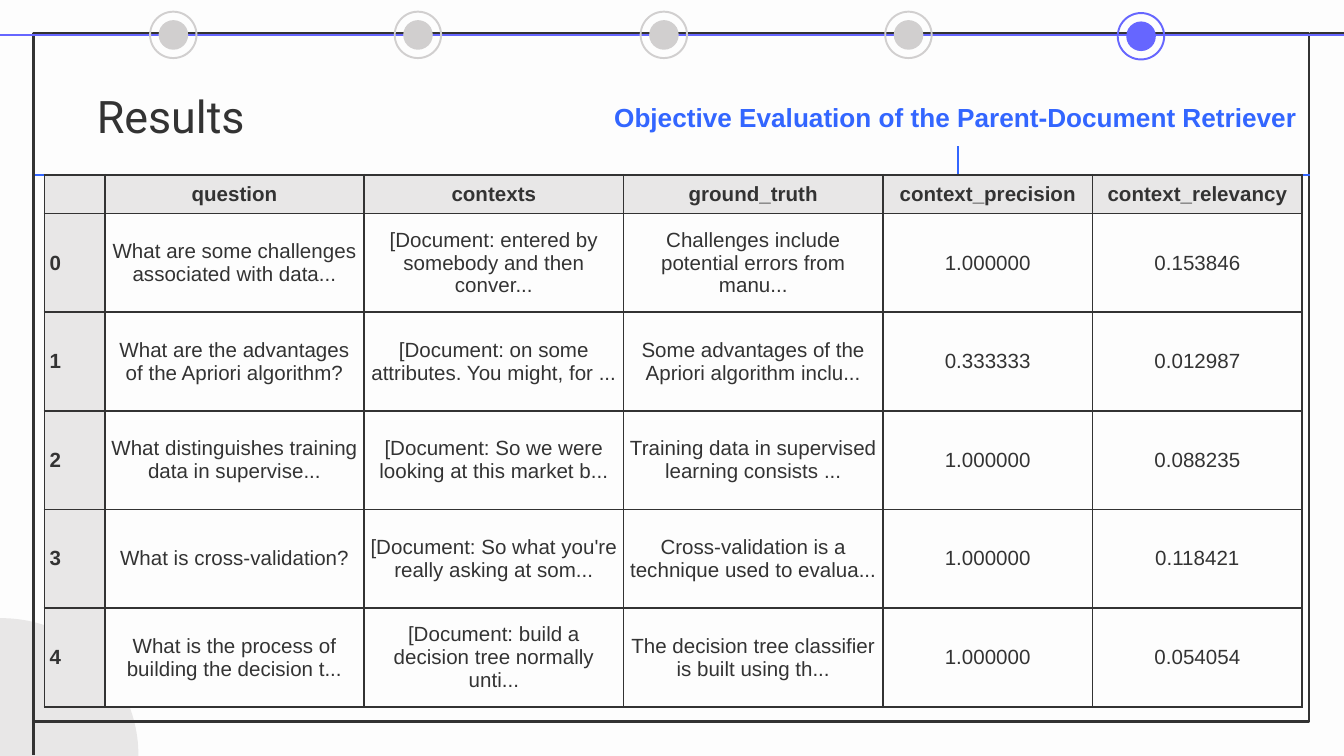
from lxml import etree
from pptx import Presentation
from pptx import util as u
from pptx.dml.color import RGBColor
from pptx.enum import shapes, text
from pptx.oxml import ns

Inches, Pt = u.Inches, u.Pt
COLORS = {k: RGBColor.from_string(v) for k, v in {
    "paper": "FDFDFD", "ink": "333333", "gray": "E8E7E7",
    "dot": "D1CFCF", "violet": "6666FF", "blue": "3366FF"}.items()}

prs = Presentation()
prs.slide_width, prs.slide_height = Inches(10), Inches(10 * 9 / 16)
s = prs.slides.add_slide(prs.slide_layouts[5])
s.background.fill.solid()
s.background.fill.fore_color.rgb = COLORS["paper"]


def add_shape(kind, x, y, w, h, fill=None, line=None):
    sp = s.shapes.add_shape(kind, Inches(x), Inches(y), Inches(w), Inches(h))
    sp.shadow.inherit = False
    if fill:
        sp.fill.solid()
        sp.fill.fore_color.rgb = COLORS[fill]
    else:
        sp.fill.background()
    if line:
        sp.line.color.rgb = COLORS[line]
        sp.line.width = Pt(1.5)
    else:
        sp.line.fill.background()
    return sp


def add_line(x1, y1, x2, y2, color, width):
    c = s.shapes.add_connector(shapes.MSO_CONNECTOR.STRAIGHT,
                               Inches(x1), Inches(y1), Inches(x2), Inches(y2))
    c.line.color.rgb = COLORS[color]
    c.line.width = Pt(width)
    etree.SubElement(c._element.spPr, ns.qn("a:effectLst"))


# Corner disc and page frame
OVAL = shapes.MSO_SHAPE.OVAL
add_shape(OVAL, -1.01, 4.6, 2.04, 2.04, fill="gray")
add_shape(shapes.MSO_SHAPE.RECTANGLE, 0.25, 0.25, 9.49, 5.12, line="ink")
add_line(9.75, 0.25, 10, 0.25, "ink", 1.5)
add_line(0.25, 5.35, 0.25, 5.62, "ink", 1.5)

# Progress line: the last step is the current one
add_line(0, 0.26, 10, 0.26, "violet", 1)
steps = [(1.29, 0.26), (3.11, 0.26), (4.94, 0.26), (6.76, 0.26), (8.49, 0.27)]
for i, (x, y) in enumerate(steps):
    color = "violet" if i == len(steps) - 1 else "dot"
    add_shape(OVAL, x - 0.11, y - 0.11, 0.22, 0.22, fill=color)
    ring = add_shape(shapes.MSO_SHAPE.DONUT, x - 0.18, y - 0.18, 0.36, 0.36, fill=color)
    ring.adjustments[0] = 0.04

# Title and subtitle
title = s.shapes.title
title.left, title.top, title.width, title.height = map(Inches, (0.62, 0.56, 8.43, 0.63))
subtitle = s.shapes.add_textbox(Inches(3.4), Inches(0.7), Inches(6.35), Inches(0.34))
for sp, words, align, anchor, font, size, bold, color in [
        (title, "Results", text.PP_ALIGN.LEFT, text.MSO_ANCHOR.TOP,
         "Roboto", 24, False, "ink"),
        (subtitle, "Objective Evaluation of the Parent-Document Retriever",
         text.PP_ALIGN.RIGHT, text.MSO_ANCHOR.MIDDLE, "Arial", 14, True, "blue")]:
    tf = sp.text_frame
    tf.word_wrap = True
    tf.vertical_anchor = anchor
    p = tf.paragraphs[0]
    p.alignment = align
    r = p.add_run()
    r.text = words
    r.font.name, r.font.size, r.font.bold = font, Pt(size), bold
    r.font.color.rgb = COLORS[color]
title.text_frame.margin_top = Inches(0.1)

# Rules above the table
add_line(0.26, 1.3, 9.75, 1.3, "blue", 1)
add_line(7.13, 1.09, 7.13, 1.3, "blue", 1)

# Results table
rows = [
    ("", "question", "contexts", "ground_truth", "context_precision", "context_relevancy"),
    ("0", "What are some challenges associated with data...",
     "[Document: entered by somebody and then conver...",
     "Challenges include potential errors from manu...", "1.000000", "0.153846"),
    ("1", "What are the advantages of the Apriori algorithm?",
     "[Document: on some attributes. You might, for ...",
     "Some advantages of the Apriori algorithm inclu...", "0.333333", "0.012987"),
    ("2", "What distinguishes training data in supervise...",
     "[Document: So we were looking at this market b...",
     "Training data in supervised learning consists ...", "1.000000", "0.088235"),
    ("3", "What is cross-validation?",
     "[Document: So what you're really asking at som...",
     "Cross-validation is a technique used to evalua...", "1.000000", "0.118421"),
    ("4", "What is the process of building the decision t...",
     "[Document: build a decision tree normally unti...",
     "The decision tree classifier is built using th...", "1.000000", "0.054054"),
]
widths = [0.45] + [1.93] * 3 + [1.56] * 2
heights = [0.29] + [(3.96 - 0.29) / 5] * 5
table = s.shapes.add_table(len(rows), len(widths), Inches(0.33), Inches(1.3),
                           Inches(sum(widths)), Inches(sum(heights))).table
for col, w in zip(table.columns, widths):
    col.width = Inches(w)
for row, h in zip(table.rows, heights):
    row.height = Inches(h)

for i, row in enumerate(rows):
    for j, words in enumerate(row):
        cell = table.cell(i, j)
        header = i == 0 or j == 0
        cell.fill.solid()
        cell.fill.fore_color.rgb = COLORS["gray" if header else "paper"]
        cell.vertical_anchor = text.MSO_ANCHOR.MIDDLE
        cell.margin_left = cell.margin_right = Inches(0.04)
        cell.margin_top = cell.margin_bottom = Inches(0.02)
        p = cell.text_frame.paragraphs[0]
        p.alignment = text.PP_ALIGN.CENTER if j else text.PP_ALIGN.LEFT
        if words:
            r = p.add_run()
            r.text = words
            r.font.name, r.font.size, r.font.bold = "Arial", Pt(11), header
            r.font.color.rgb = COLORS["ink"]
        else:
            etree.SubElement(p._p, ns.qn("a:endParaRPr"), sz="1100")
        # Borders come before the fill in the cell properties
        tcPr = cell._tc.get_or_add_tcPr()
        for k, side in enumerate(("lnL", "lnR", "lnT", "lnB")):
            ln = etree.Element(ns.qn("a:" + side), w=str(Pt(1)))
            fill = etree.SubElement(ln, ns.qn("a:solidFill"))
            etree.SubElement(fill, ns.qn("a:srgbClr"), val=str(COLORS["ink"]))
            tcPr.insert(k, ln)

prs.save("out.pptx")
